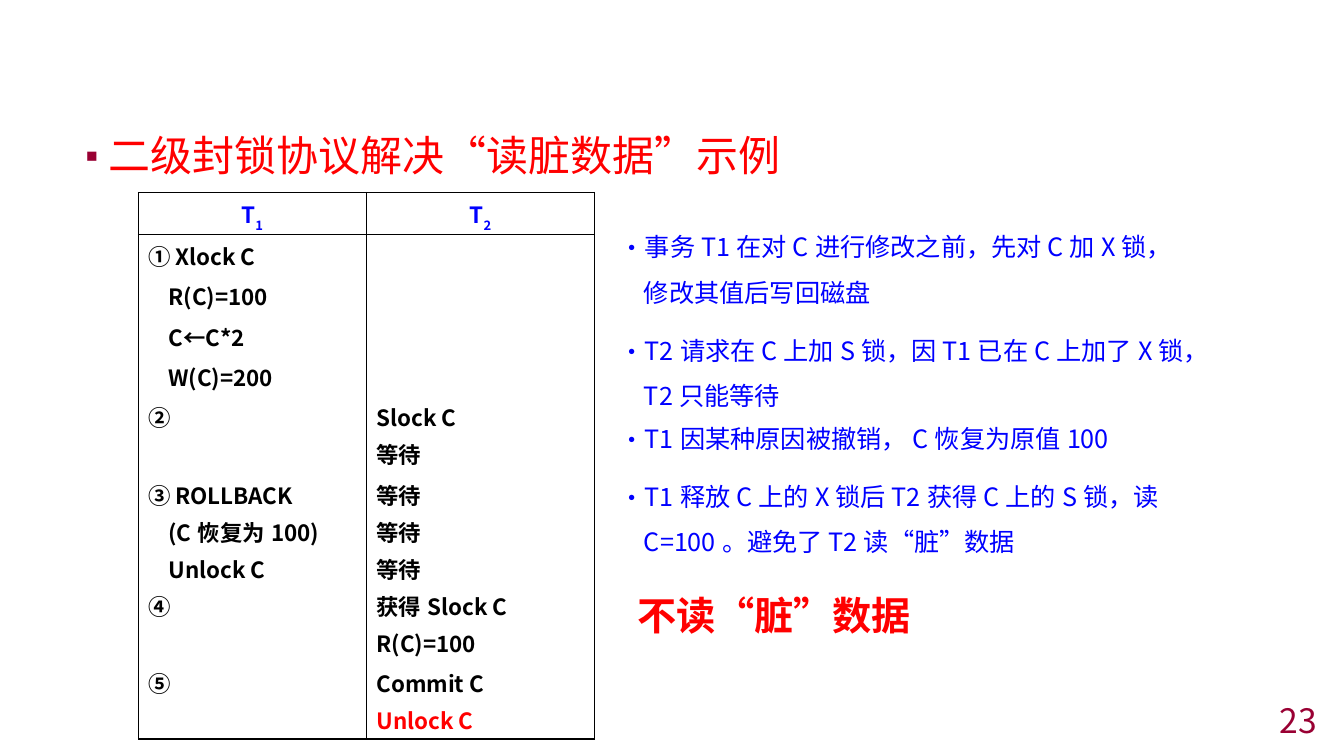
from pptx import Presentation
from pptx.dml.color import RGBColor
from pptx.enum.text import MSO_ANCHOR as Anchor, PP_ALIGN as Align
from pptx.oxml.ns import qn
from pptx.util import Pt
from lxml.etree import SubElement as Sub, Element

RED = RGBColor(0xFF, 0, 0)
BLUE = RGBColor(0, 0, 0xFF)
BLACK = RGBColor(0, 0, 0)
WINE = RGBColor(0x99, 0, 0x33)

STEPS = [
    ("① Xlock C", ""),
    ("+R(C)=100", ""),
    ("+C←C*2", ""),
    ("+W(C)=200", ""),
    ("②", "Slock C"),
    ("", "等待"),
    ("③ ROLLBACK", "等待"),
    ("+(C恢复为100)", "等待"),
    ("+Unlock C", "等待"),
    ("④", "获得Slock C"),
    ("", "R(C)=100"),
    ("⑤", "Commit C"),
    ("", "Unlock C"),
]
NOTES = [
    ("事务T1在对C进行修改之前，先对C加X锁，修改其值后写回磁盘", 1.5),
    ("T2请求在C上加S锁，因T1已在C上加了X锁，T2只能等待", 1.5),
    ("T1因某种原因被撤销，C恢复为原值100", 1.0),
    ("T1释放C上的X锁后T2获得C上的S锁，读C=100。避免了T2读“脏”数据", 1.5),
]


class Deck:
    font = "Noto Sans CJK SC"

    def __init__(self, slide):
        self.slide = slide

    def run(self, para, text, size, color, bold=False, base=0):
        run = para.add_run()
        run.text = text
        font = run.font
        font.size, font.bold, font.name = Pt(size), bold, self.font
        font.color.rgb = color
        props = run._r.get_or_add_rPr()
        Sub(props, qn("a:ea"), typeface=self.font)
        if base:
            props.set("baseline", str(base * 1000))

    def box(self, left, top, width, height, anchor=Anchor.TOP):
        area = [Pt(n) for n in (left, top, width, height)]
        frame = self.slide.shapes.add_textbox(*area).text_frame
        frame.word_wrap = True
        frame.vertical_anchor = anchor
        return frame

    def line(self, frame, text, size, color, align=Align.LEFT, bold=False):
        para = frame.paragraphs[0]
        para.alignment = align
        self.run(para, text, size, color, bold)

    def bullet(self, para, mark, indent, color=None, scale=100):
        props = para._p.get_or_add_pPr()
        props.set("marL", str(Pt(indent)))
        props.set("indent", str(-Pt(indent)))
        if color is not None:
            Sub(Sub(props, qn("a:buClr")), qn("a:srgbClr"), val=str(color))
        Sub(props, qn("a:buSzPct"), val=str(scale * 1000))
        Sub(props, qn("a:buFont"), typeface=self.font)
        Sub(props, qn("a:buChar"), char=mark)

    def edge(self, cell, sides):
        props = cell._tc.get_or_add_tcPr()
        for spot, side in enumerate("LRTB"):
            wide = sides.get(side, 0)
            rule = Element(qn("a:ln" + side), w=str(Pt(wide)))
            if wide:
                fill = Sub(rule, qn("a:solidFill"))
                Sub(fill, qn("a:srgbClr"), val=str(BLACK))
            else:
                Sub(rule, qn("a:noFill"))
            props.insert(spot, rule)

    def table(self, left, top, width, head, row, steps):
        count = len(steps) + 1
        high = head + row * len(steps)
        area = [Pt(n) for n in (left, top, width, high)]
        grid = self.slide.shapes.add_table(count, 2, *area).table
        grid.first_row = grid.horz_banding = False
        for num, line in enumerate(grid.rows):
            line.height = Pt(row if num else head)
            for col, cell in enumerate(line.cells):
                cell.fill.background()
                sides = {"L": 1 if col else 0.25, "R": 0.25 if col else 1}
                if num < 2:
                    sides["T"] = 1
                if num in (0, count - 1):
                    sides["B"] = 1
                self.edge(cell, sides)
                para = cell.text_frame.paragraphs[0]
                if num == 0:
                    para.alignment = Align.CENTER
                    self.run(para, "T", 16, BLUE, True)
                    self.run(para, str(col + 1), 16, BLUE, True, -30)
                    continue
                text = steps[num - 1][col]
                if text.startswith("+"):
                    para._p.get_or_add_pPr().set("marL", str(Pt(14.5)))
                if text:
                    color = RED if num == count - 1 else BLACK
                    self.run(para, text.lstrip("+"), 16, color, True)


def main():
    show = Presentation()
    show.slide_width, show.slide_height = Pt(960), Pt(540)
    deck = Deck(show.slides.add_slide(show.slide_layouts[6]))

    title = deck.box(46.8, 84.2, 867, 52)
    title.paragraphs[0].line_spacing = 1.14
    deck.bullet(title.paragraphs[0], "▪", 21, WINE, 80)
    deck.line(title, "二级封锁协议解决“读脏数据”示例", 30, RED)

    page = deck.box(743.8, 503.3, 203.8, 22.3, Anchor.MIDDLE)
    deck.line(page, "23", 24, WINE, Align.RIGHT)

    moral = deck.box(435.6, 419, 234.7, 41)
    deck.line(moral, "不读“脏”数据", 28, RED, Align.CENTER, True)

    deck.table(98.6, 137.5, 326.2, 30, 26.4, STEPS)

    notes = deck.box(435.6, 151.2, 426.2, 254)
    for num, (text, space) in enumerate(NOTES):
        para = notes.add_paragraph() if num else notes.paragraphs[0]
        para.line_spacing = space
        if num:
            para.space_before = Pt(9)
        deck.bullet(para, "•", 17.3)
        deck.run(para, text, 18, BLUE)
    for para in notes.paragraphs:
        fill = Element(qn("a:buClr"))
        Sub(fill, qn("a:srgbClr"), val=str(BLUE))
        para._p.pPr.find(qn("a:buSzPct")).addprevious(fill)

    show.save("out.pptx")


if __name__ == "__main__":
    main()
